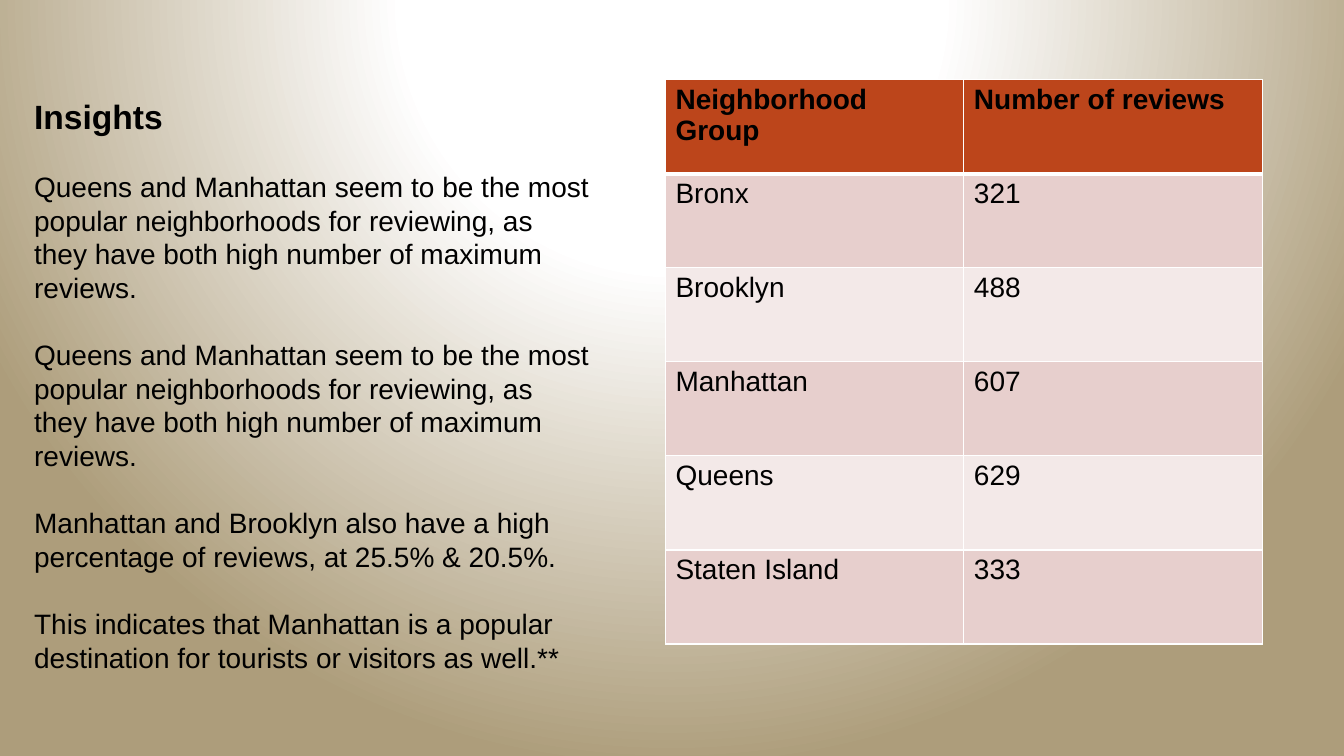
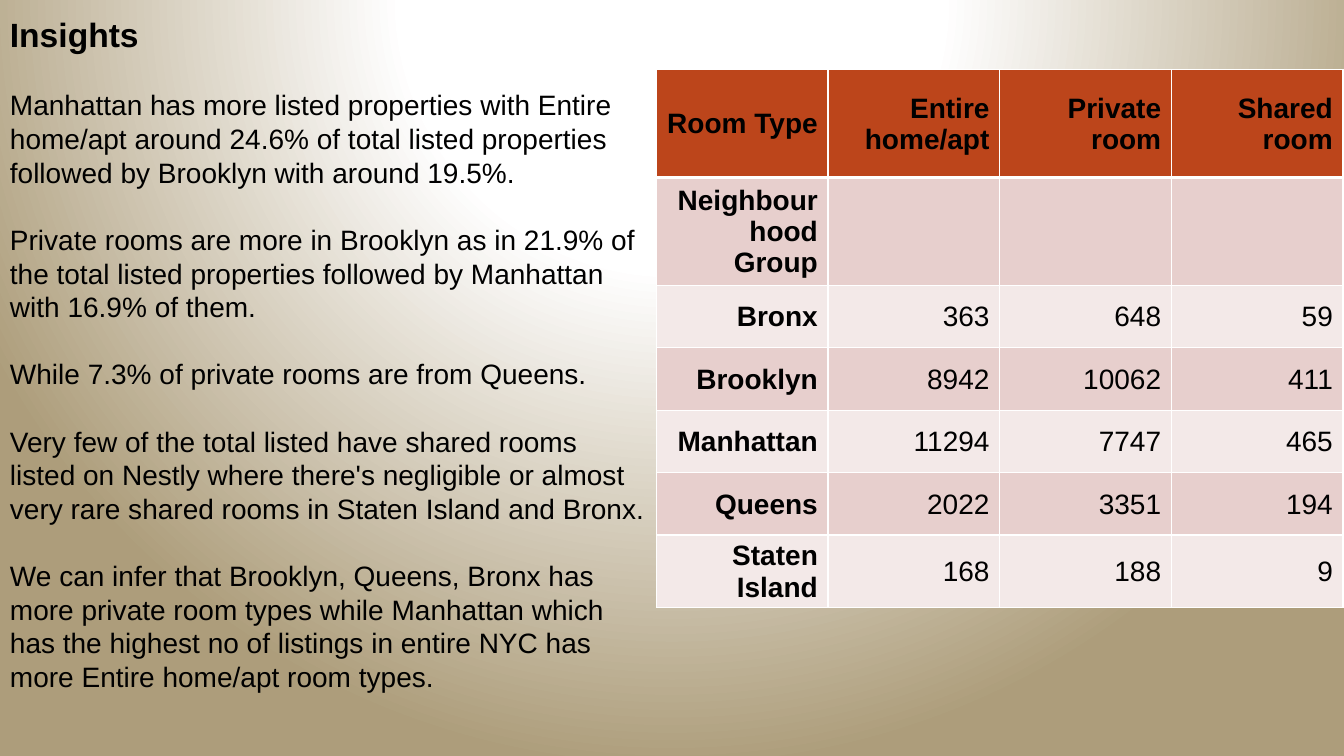
import pptx
import pptx.dml.color
import pptx.enum.text
import pptx.oxml
import pptx.oxml.ns
import pptx.util
from pptx.util import Inches

RGBColor = pptx.dml.color.RGBColor
Anchor = pptx.enum.text.MSO_ANCHOR
Align = pptx.enum.text.PP_ALIGN

BLACK = RGBColor(0x00, 0x00, 0x00)
WHITE = RGBColor(0xFF, 0xFF, 0xFF)
SAND = RGBColor(0xAD, 0x9D, 0x7B)
RUST = RGBColor(0xBC, 0x45, 0x1B)
ROSE = RGBColor(0xE7, 0xCF, 0xCD)
PALE_ROSE = RGBColor(0xF3, 0xE9, 0xE8)

HEADING = {"name": "Arial", "size": pptx.util.Pt(24), "bold": True}
BODY = {"name": "Arial", "size": pptx.util.Pt(20), "bold": False}
BODY_BOLD = {**BODY, "bold": True}
INSIGHT_GAP = pptx.util.Pt(24)

POPULAR = (
    "Queens and Manhattan seem to be the most popular neighborhoods for reviewing, "
    "as they have both high number of maximum reviews."
)

SLIDES = [
    {
        "text_box": (0.24, 0.9, 5.73, 5.8),
        "insights": [
            POPULAR,
            POPULAR,
            "Manhattan and Brooklyn also have a high percentage of reviews, "
            "at 25.5% & 20.5%.",
            "This indicates that Manhattan is a popular destination for tourists "
            "or visitors as well.**",
        ],
        "table_box": (6.6, 0.79, 5.92, 5.6),
        "row_heights": [5.6 / 6] * 6,
        "bold_first_column": False,
        "cell_format": {
            "vertical_anchor": Anchor.TOP,
            "margin_top": Inches(0.04),
            "margin_bottom": Inches(0.04),
        },
        "alignment": Align.LEFT,
        "rows": [
            ("Neighborhood Group", "Number of reviews"),
            ("Bronx", 321),
            ("Brooklyn", 488),
            ("Manhattan", 607),
            ("Queens", 629),
            ("Staten Island", 333),
        ],
    },
    {
        "text_box": (0, 0.09, 6.51, 6.9),
        "insights": [
            "Manhattan has more listed properties with Entire home/apt around 24.6% "
            "of total listed properties followed by Brooklyn with around 19.5%.",
            "Private rooms are more in Brooklyn as in 21.9% of the total listed "
            "properties followed by Manhattan with 16.9% of them.",
            "While 7.3% of private rooms are from Queens.",
            "Very few of the total listed have shared rooms listed on Nestly where "
            "there's negligible or almost very rare shared rooms in Staten Island "
            "and Bronx.",
            "We can infer that Brooklyn, Queens, Bronx has more private room types "
            "while Manhattan which has the highest no of listings in entire NYC has "
            "more Entire home/apt room types.",
        ],
        "table_box": (6.51, 0.69, 6.81, 5.24),
        "row_heights": [1.07] * 2 + [0.62] * 5,
        "bold_first_column": True,
        "cell_format": {
            "vertical_anchor": Anchor.MIDDLE,
            "margin_top": Inches(0.03),
            "margin_bottom": Inches(0.02),
        },
        "alignment": Align.RIGHT,
        "rows": [
            ("Room Type", "Entire home/apt", "Private room", "Shared room"),
            ("Neighbourhood Group", "", "", ""),
            ("Bronx", 363, 648, 59),
            ("Brooklyn", 8942, 10062, 411),
            ("Manhattan", 11294, 7747, 465),
            ("Queens", 2022, 3351, 194),
            ("Staten Island", 168, 188, 9),
        ],
    },
]


def set_formats(target, formats):
    for name, value in formats.items():
        setattr(target, name, value)


def write_text(paragraph, text, font_format):
    run = paragraph.add_run()
    run.text = text
    set_formats(run.font, font_format)
    run.font.color.rgb = BLACK


def set_background(master):
    """Give every slide a white glow from the top centre that fades to sand."""
    master.background.fill.gradient()
    gradient = next(master.element.iter(pptx.oxml.ns.qn("a:gradFill")))
    stops = "".join(
        f'<a:gs pos="{position * 1000}"><a:srgbClr val="{color}"/></a:gs>'
        for position, color in ((0, WHITE), (35, WHITE), (100, SAND))
    )
    glow = pptx.oxml.parse_xml(
        f'<a:gradFill {pptx.oxml.ns.nsdecls("a")} rotWithShape="1">'
        f'<a:gsLst>{stops}</a:gsLst><a:path path="circle">'
        '<a:fillToRect l="50000" t="-80000" r="50000" b="180000"/>'
        "</a:path></a:gradFill>"
    )
    gradient.getparent().replace(gradient, glow)


def set_borders(cell, row_index):
    """Draw thin white borders, with a thick one under the header row."""
    points = {"L": 1, "R": 1, "T": 3 if row_index == 1 else 1, "B": 3 if row_index == 0 else 1}
    properties = cell._tc.get_or_add_tcPr()
    for index, (side, width) in enumerate(points.items()):
        border = pptx.oxml.parse_xml(
            f'<a:ln{side} {pptx.oxml.ns.nsdecls("a")} w="{pptx.util.Pt(width)}">'
            f'<a:solidFill><a:srgbClr val="{WHITE}"/></a:solidFill></a:ln{side}>'
        )
        properties.insert(index, border)


def add_insights(slide, content):
    text_box = slide.shapes.add_textbox(*map(Inches, content["text_box"]))
    frame = text_box.text_frame
    frame.word_wrap = True
    frame.auto_size = pptx.enum.text.MSO_AUTO_SIZE.SHAPE_TO_FIT_TEXT
    write_text(frame.paragraphs[0], "Insights", HEADING)
    for insight in content["insights"]:
        paragraph = frame.add_paragraph()
        paragraph.space_before = INSIGHT_GAP
        write_text(paragraph, insight, BODY)


def add_data_table(slide, content):
    rows = content["rows"]
    box = map(Inches, content["table_box"])
    table = slide.shapes.add_table(len(rows), len(rows[0]), *box).table
    for table_row, height in zip(table.rows, content["row_heights"]):
        table_row.height = Inches(height)
    for row_index, values in enumerate(rows):
        fill = RUST if row_index == 0 else (PALE_ROSE, ROSE)[row_index % 2]
        for column_index, value in enumerate(values):
            cell = table.cell(row_index, column_index)
            cell.fill.solid()
            cell.fill.fore_color.rgb = fill
            set_formats(cell, content["cell_format"])
            set_borders(cell, row_index)
            if value == "":
                continue
            bold = row_index == 0 or (column_index == 0 and content["bold_first_column"])
            paragraph = cell.text_frame.paragraphs[0]
            paragraph.alignment = content["alignment"]
            write_text(paragraph, str(value), BODY_BOLD if bold else BODY)


def main():
    presentation = pptx.Presentation()
    presentation.slide_width = Inches(13.33)
    presentation.slide_height = Inches(7.5)
    set_background(presentation.slide_master)
    for content in SLIDES:
        slide = presentation.slides.add_slide(presentation.slide_layouts[6])
        add_insights(slide, content)
        add_data_table(slide, content)
    presentation.save("out.pptx")


if __name__ == "__main__":
    main()
